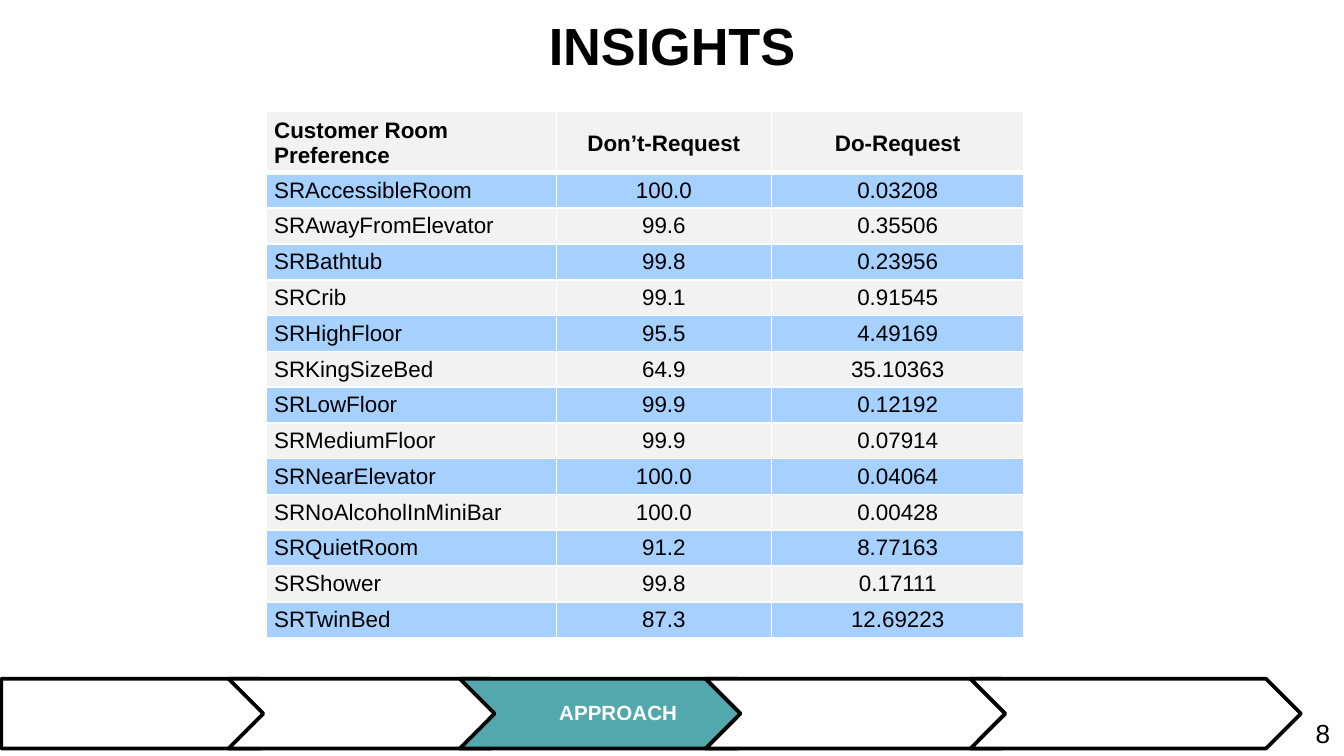
from dataclasses import dataclass

from lxml.etree import SubElement
from pptx import Presentation
from pptx.dml.color import RGBColor
from pptx.enum.shapes import MSO_SHAPE
from pptx.enum.text import MSO_ANCHOR, PP_ALIGN
from pptx.oxml.ns import qn
from pptx.util import Inches, Pt


@dataclass(frozen=True)
class Theme:
    """Colours, typeface and type sizes of the slide."""
    face: str = "Arial"
    ink: str = "000000"
    white: str = "FFFFFF"
    gray: str = "F2F2F2"
    blue: str = "A6D1FF"
    teal: str = "52A8AD"
    title: int = 28
    page: int = 14
    cell: int = 12
    step: int = 11


THEME = Theme()

HEAD = ("Customer Room Preference", "Don’t-Request", "Do-Request")
ROWS = (
    ("SRAccessibleRoom", "100.0", "0.03208"),
    ("SRAwayFromElevator", "99.6", "0.35506"),
    ("SRBathtub", "99.8", "0.23956"),
    ("SRCrib", "99.1", "0.91545"),
    ("SRHighFloor", "95.5", "4.49169"),
    ("SRKingSizeBed", "64.9", "35.10363"),
    ("SRLowFloor", "99.9", "0.12192"),
    ("SRMediumFloor", "99.9", "0.07914"),
    ("SRNearElevator", "100.0", "0.04064"),
    ("SRNoAlcoholInMiniBar", "100.0", "0.00428"),
    ("SRQuietRoom", "91.2", "8.77163"),
    ("SRShower", "99.8", "0.17111"),
    ("SRTwinBed", "87.3", "12.69223"),
)
WIDTHS = (2.16, 1.6, 1.88)
STEPS = (
    (0.01, 2.19, MSO_SHAPE.PENTAGON, THEME.white),
    (1.7, 2.21, MSO_SHAPE.CHEVRON, THEME.white),
    (3.42, 2.33, MSO_SHAPE.CHEVRON, THEME.teal),
    (5.25, 2.46, MSO_SHAPE.CHEVRON, THEME.white),
    (7.22, 2.46, MSO_SHAPE.CHEVRON, THEME.white),
)
LABEL = 2


def apply(item, values):
    """Set each named value on the item."""
    for name, value in values.items():
        setattr(item, name, value)


def margins(left, top, right, bottom):
    """Return inner margins as format values."""
    sides = ("left", "top", "right", "bottom")
    sizes = (left, top, right, bottom)
    return {f"margin_{side}": Inches(size) for side, size in zip(sides, sizes)}


def write(frame, text, size, color=THEME.ink, bold=False, align=PP_ALIGN.LEFT):
    """Put one formatted paragraph in a text frame."""
    line = frame.paragraphs[0]
    line.alignment = align
    run = line.add_run()
    run.text = text
    apply(run.font, {"name": THEME.face, "size": Pt(size), "bold": bold})
    run.font.color.rgb = RGBColor.from_string(color)
    return line


def paint(item, color):
    """Give an item a solid fill."""
    item.fill.solid()
    item.fill.fore_color.rgb = RGBColor.from_string(color)


def border(cell, bottom):
    """Draw white cell edges with the given bottom width in points."""
    props = cell._tc.get_or_add_tcPr()
    for side, width in (("L", 1), ("R", 1), ("T", 1), ("B", bottom)):
        edge = SubElement(props, qn(f"a:ln{side}"), w=str(Pt(width)))
        fill = SubElement(edge, qn("a:solidFill"))
        SubElement(fill, qn("a:srgbClr"), val=THEME.white)


def add_title(slide, text):
    """Place and fill the title."""
    title = slide.shapes.title
    apply(title, {"left": Inches(0.78), "top": Inches(0.05),
                  "width": Inches(8.44), "height": Inches(0.63)})
    title.text_frame.vertical_anchor = MSO_ANCHOR.TOP
    write(title.text_frame, text, THEME.title, bold=True, align=PP_ALIGN.CENTER)


def add_cell(cell, text, head, first, color):
    """Fill and format one table cell."""
    inset = margins(0.06, 0.05, 0.06, 0.03) if head else margins(0.06, 0.02, 0.06, 0.02)
    apply(cell, {"vertical_anchor": MSO_ANCHOR.MIDDLE, **inset})
    border(cell, 3 if head else 1)
    paint(cell, color)
    align = PP_ALIGN.LEFT if first else PP_ALIGN.CENTER
    write(cell.text_frame, text, THEME.cell, bold=head, align=align)


def add_grid(slide):
    """Build the table of room preferences."""
    data = (HEAD, *ROWS)
    table = slide.shapes.add_table(
        len(data), len(HEAD), Inches(1.98), Inches(0.83),
        Inches(sum(WIDTHS)), Inches(3.73)).table
    apply(table, {"first_row": False, "horz_banding": False})
    for col, width in zip(table.columns, WIDTHS):
        col.width = Inches(width)
    for r, row in enumerate(data):
        color = THEME.blue if r % 2 else THEME.gray
        for c, text in enumerate(row):
            add_cell(table.cell(r, c), text, r == 0, c == 0, color)


def add_step(group, left, width, kind, color):
    """Draw one arrow of the progress bar."""
    step = group.shapes.add_shape(
        kind, Inches(left), Inches(5.05), Inches(width), Inches(0.52))
    step.shadow.inherit = False
    paint(step, color)
    step.line.color.rgb = RGBColor.from_string(THEME.ink)
    step.line.width = Pt(2)


def add_label(group, text):
    """Name the current step."""
    box = group.shapes.add_textbox(
        Inches(3.68), Inches(5.05), Inches(1.81), Inches(0.52))
    frame = box.text_frame
    apply(frame, {"word_wrap": True, "vertical_anchor": MSO_ANCHOR.MIDDLE,
                  **margins(0.05, 0.03, 0.02, 0.03)})
    line = write(frame, text, THEME.step, THEME.white, True, PP_ALIGN.CENTER)
    line.line_spacing = 0.9


def add_bar(slide):
    """Build the progress bar."""
    group = slide.shapes.add_group_shape()
    for index, step in enumerate(STEPS):
        add_step(group, *step)
        if index == LABEL:
            add_label(group, "APPROACH")


def add_page(slide, text):
    """Write the page number."""
    box = slide.shapes.add_textbox(
        Inches(9.69), Inches(5.29), Inches(0.31), Inches(0.34))
    box.text_frame.word_wrap = False
    write(box.text_frame, text, THEME.page)


def main():
    """Build and save the slide."""
    deck = Presentation()
    apply(deck, {"slide_width": Inches(10), "slide_height": Inches(10 * 9 / 16)})
    slide = deck.slides.add_slide(deck.slide_layouts.get_by_name("Title Only"))
    add_title(slide, "INSIGHTS")
    add_grid(slide)
    add_bar(slide)
    add_page(slide, "8")
    deck.save("out.pptx")


if __name__ == "__main__":
    main()
